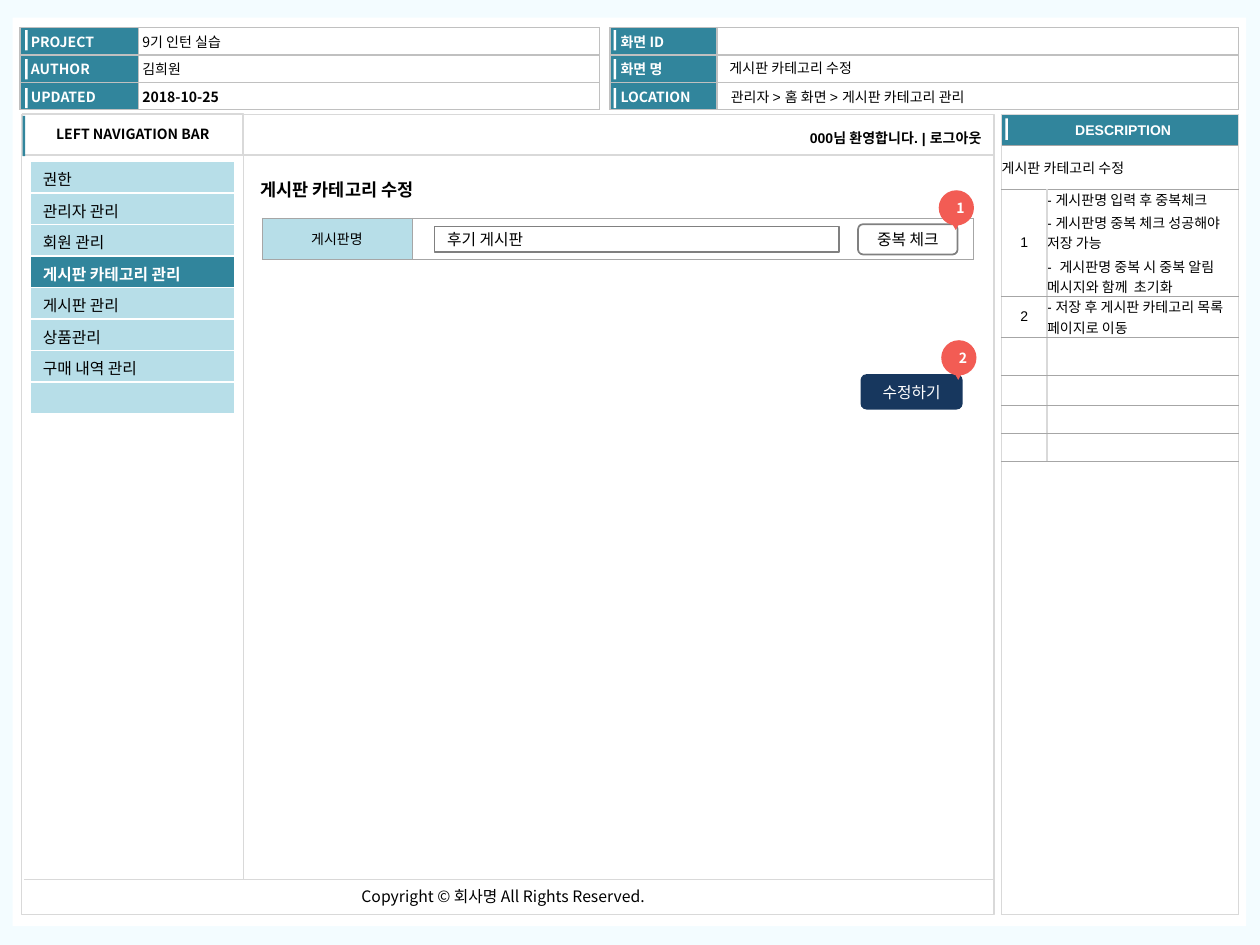
from lxml import etree
from pptx import Presentation, util as u
from pptx.dml.color import RGBColor
from pptx.enum import shapes, text
from pptx.oxml import ns

# Theme
C = dict(page="F3FCFF", white="FFFFFF", black="000000", teal="31859C", sky="B7DEE8",
         navy="17375E", red="F25C54", pale="D9D9D9", silver="C0C0C0", mid="A6A6A6", dark="808080")
NOTO, ARIAL = "Noto Sans CJK KR", "Arial"
SMALL, BODY, HEAD = 8, 9, 10
L, M, R = text.PP_ALIGN.LEFT, text.PP_ALIGN.CENTER, text.PP_ALIGN.RIGHT
TOP, MID = text.MSO_ANCHOR.TOP, text.MSO_ANCHOR.MIDDLE
RECT, ROUND = shapes.MSO_SHAPE.RECTANGLE, shapes.MSO_SHAPE.ROUNDED_RECTANGLE
OVAL, TRI = shapes.MSO_SHAPE.OVAL, shapes.MSO_SHAPE.ISOSCELES_TRIANGLE

# Content
INFO = [("PROJECT", "9기 인턴 실습"), ("AUTHOR", "김희원"), ("UPDATED", "2018-10-25")]
SCREEN = ["화면 ID", "화면 명", "LOCATION"]
NAME = "게시판 카테고리 수정"
WAY = "관리자 > 홈 화면 > 게시판 카테고리 관리"
MENU = ["권한", "관리자 관리", "회원 관리", "게시판 카테고리 관리",
        "게시판 관리", "상품관리", "구매 내역 관리", ""]
ACTIVE = 3
NOTES = [(NAME, ""),
         ("1", "- 게시판명 입력 후 중복체크\n- 게시판명 중복 체크 성공해야 저장 가능\n"
               "-  게시판명 중복 시 중복 알림 메시지와 함께  초기화"),
         ("2", "- 저장 후 게시판 카테고리 목록 페이지로 이동")] + [("", "")] * 4

# Grid of 100 columns by 75 rows; every length below counts its cells
prs = Presentation()
prs.slide_width, prs.slide_height = u.Inches(10), u.Inches(7.5)
CELL = prs.slide_width / 100
slide = prs.slides.add_slide(prs.slide_layouts[5])
slide.background.fill.solid()
slide.background.fill.fore_color.rgb = RGBColor.from_string(C["page"])
pool = slide.shapes


def g(*cells):
    return [round(n * CELL) for n in cells]


def put(obj, vals):
    for key, val in vals.items():
        setattr(obj, key, val)


def paint(obj, fill):
    if fill:
        obj.fill.solid()
        obj.fill.fore_color.rgb = RGBColor.from_string(C[fill])
    else:
        obj.fill.background()


def write(frame, words, size=SMALL, face=NOTO, ink="black", bold=False, align=L,
          before=0.0, anchor=MID, pad=(0.8, 0.4, 0.8, 0.4), wrap=True):
    sides = ("margin_left", "margin_top", "margin_right", "margin_bottom")
    put(frame, dict(zip(sides, g(*pad)), vertical_anchor=anchor, word_wrap=wrap))
    for i, line in enumerate(words.split("\n")):
        par = frame.add_paragraph() if i else frame.paragraphs[0]
        put(par, dict(alignment=align, space_before=u.Pt(before)))
        if not line:
            etree.SubElement(par._p, ns.qn("a:endParaRPr"), sz=str(size * 100))
            continue
        run = par.add_run()
        run.text = line
        put(run.font, dict(size=u.Pt(size), bold=bold, name=face))
        run.font.color.rgb = RGBColor.from_string(C[ink])
        etree.SubElement(run.font._element, ns.qn("a:ea"), typeface=NOTO)


def box(at, fill=None, line=None, width=0.75, kind=RECT, words=None, home=pool, **fmt):
    shp = home.add_shape(kind, *g(*at))
    shp.shadow.inherit = False
    paint(shp, fill)
    if line:
        shp.line.color.rgb = RGBColor.from_string(C[line])
        shp.line.width = u.Pt(width)
    else:
        shp.line.fill.background()
    if words:
        write(shp.text_frame, words, **fmt)
    return shp


def label(at, words, **fmt):
    write(pool.add_textbox(*g(*at)).text_frame, words, **{"anchor": TOP, **fmt})


def rule(x1, y1, x2, y2, width=1):
    con = pool.add_connector(shapes.MSO_CONNECTOR.STRAIGHT, *g(x1, y1, x2, y2))
    con.line.color.rgb = RGBColor.from_string(C["pale"])
    con.line.width = u.Pt(width)
    etree.SubElement(con._element.spPr, ns.qn("a:effectLst"))


def edge(cell, sides):
    props = cell._tc.get_or_add_tcPr()
    for i, side in enumerate("LRTB"):
        tone, width = sides.get(side, sides.get("all"))
        ln = etree.Element(ns.qn("a:ln" + side), w=str(u.Pt(width)))
        fill = etree.SubElement(ln, ns.qn("a:solidFill"))
        etree.SubElement(fill, ns.qn("a:srgbClr"), val=C[tone])
        props.insert(i, ln)


def table(x, y, cols, rows, look, sides):
    """look(row, col) gives (words, fill, text format)."""
    tab = pool.add_table(len(rows), len(cols), *g(x, y, sum(cols), sum(rows))).table
    put(tab, dict(first_row=False, horz_banding=False))
    for col, w in zip(tab.columns, g(*cols)):
        col.width = w
    for row, h in zip(tab.rows, g(*rows)):
        row.height = h
    for r in range(len(rows)):
        for c in range(len(cols)):
            words, fill, fmt = look(r, c)
            cell = tab.cell(r, c)
            write(cell.text_frame, words, **fmt)
            put(cell, dict(vertical_anchor=fmt.get("anchor", MID), **dict(zip(
                ("margin_left", "margin_top", "margin_right", "margin_bottom"),
                g(*fmt.get("pad", (0, 0, 0, 0)))))))
            paint(cell, fill)
            edge(cell, sides)
    return tab


def pin(x, y, num):
    grp = pool.add_group_shape().shapes
    box((x, y, 2.8, 2.8), "red", kind=OVAL, words=num, home=grp,
        ink="white", bold=True, align=M, pad=(1, 0.5, 0.7, 0.5))
    box((x + 0.9, y + 2.35, 0.9, 0.8), "red", kind=TRI, home=grp).rotation = 180


# Page and header tables
box((1, 1.4, 97.9, 72.1), "white")
HEADER = dict(ink="white", bold=True, before=1.6, pad=(0.85, 0, 0.3, 0))
VALUE = dict(before=1.6, pad=(0.3, 0, 0.3, 0))


def info(r, c):
    return INFO[r][c], "white" if c else "teal", {**VALUE, "bold": r == 2} if c else HEADER


def screen(r, c):
    return ("", "white", VALUE) if c else (SCREEN[r], "teal", HEADER)


for x, cols, look in ((1.6, (9.4, 36.6), info), (48.4, (8.5, 41.4), screen)):
    table(x, 2.2, cols, [6.5 / 3] * 3, look, {"all": ("silver", 1)})
for x in (2, 48.7):
    for i in range(3):
        box((x, 2.4 + 2.3 * i, 0.2, 1.6), "white")
label((57.2, 6.6, 29, 2), WAY, face=ARIAL)
label((57.1, 4.3, 29, 2), NAME, face=ARIAL)

# Main frame and description panel
box((1.7, 9.1, 77.2, 63.5), line="pale")
PALE = {"all": ("pale", 1)}
table(79.5, 9.1, [18.8], [2.5, 61], lambda r, c: (
    "" if r else "DESCRIPTION", "white" if r else "teal",
    dict(face=ARIAL, ink="white", bold=True, align=M, before=1.6, pad=(0.5, 0, 0, 0))), PALE)
box((79.8, 9.4, 0.2, 1.7), "white")
notes = table(79.5, 11.5, [3.6, 15.2], [3.5, 8.5, 3.3, 3, 2.4, 2.2, 2.2], lambda r, c: (
    NOTES[r][c] if c < len(NOTES[r]) else "", "white",
    dict(face=ARIAL, before=1.6, align=L if c or not r else M, pad=(0, 0, 0, 0))),
    {"all": ("mid", 0.5), "L": ("pale", 1), "R": ("pale", 1)})
notes.cell(0, 0).merge(notes.cell(0, 1))

# Footer, top bar and navigation
rule(1.9, 69.8, 78.9, 69.8)
label((27.7, 69.9, 25.2, 2.5), "Copyright ©\u00a0회사명 All Rights Reserved.",
      size=BODY, pad=(1, 0.5, 1, 0.5), wrap=False)
box((1.8, 9, 17.5, 3.3), line="pale", words="LEFT NAVIGATION BAR", bold=True, align=M)
box((1.8, 9.2, 0.2, 3.2), "teal")
rule(19.3, 9.1, 19.3, 69.8, 0.75)
rule(19.3, 12.3, 78.9, 12.3)
label((52.9, 9.9, 25.8, 2.2), "000님 환영합니다. | 로그아웃", face=ARIAL, bold=True, align=R)
table(2.4, 12.8, [16.2], [2.5] * len(MENU), lambda r, c: (
    MENU[r], "teal" if r == ACTIVE else "sky",
    dict(size=BODY, ink="white" if r == ACTIVE else "black", bold=r == ACTIVE,
         pad=(1, 0.3, 1, 0))), {"all": ("white", 1)})

# Title and edit form
title = pool.title
put(title, dict(zip(("left", "top", "width", "height"), g(19.7, 13.7, 15.6, 2.7))))
write(title.text_frame, NAME, size=HEAD, bold=True, pad=(1, 0.5, 1, 0.5), wrap=False)
pool._spTree.append(title._element)
table(20.8, 17.3, [11.9, 44.5], [3.3], lambda r, c: (
    "" if c else "게시판명", None if c else "sky",
    dict(align=M, before=1.6, pad=(0.8, 0.4, 0.8, 0.4))), {"all": ("mid", 0.25)})
box((34.5, 18, 32.1, 2), line="dark", words="후기 게시판", size=BODY, pad=(1, 0, 1, 0))
box((68.1, 17.8, 7.9, 2.4), "white", "dark", 1, ROUND, "중복 체크", size=BODY, align=M)
box((68.3, 29.7, 8.1, 2.8), "navy", kind=ROUND, words="수정하기",
    size=BODY, ink="white", align=M)
pin(74.5, 15.1, "1")
pin(74.7, 27, "2")

prs.save("out.pptx")
